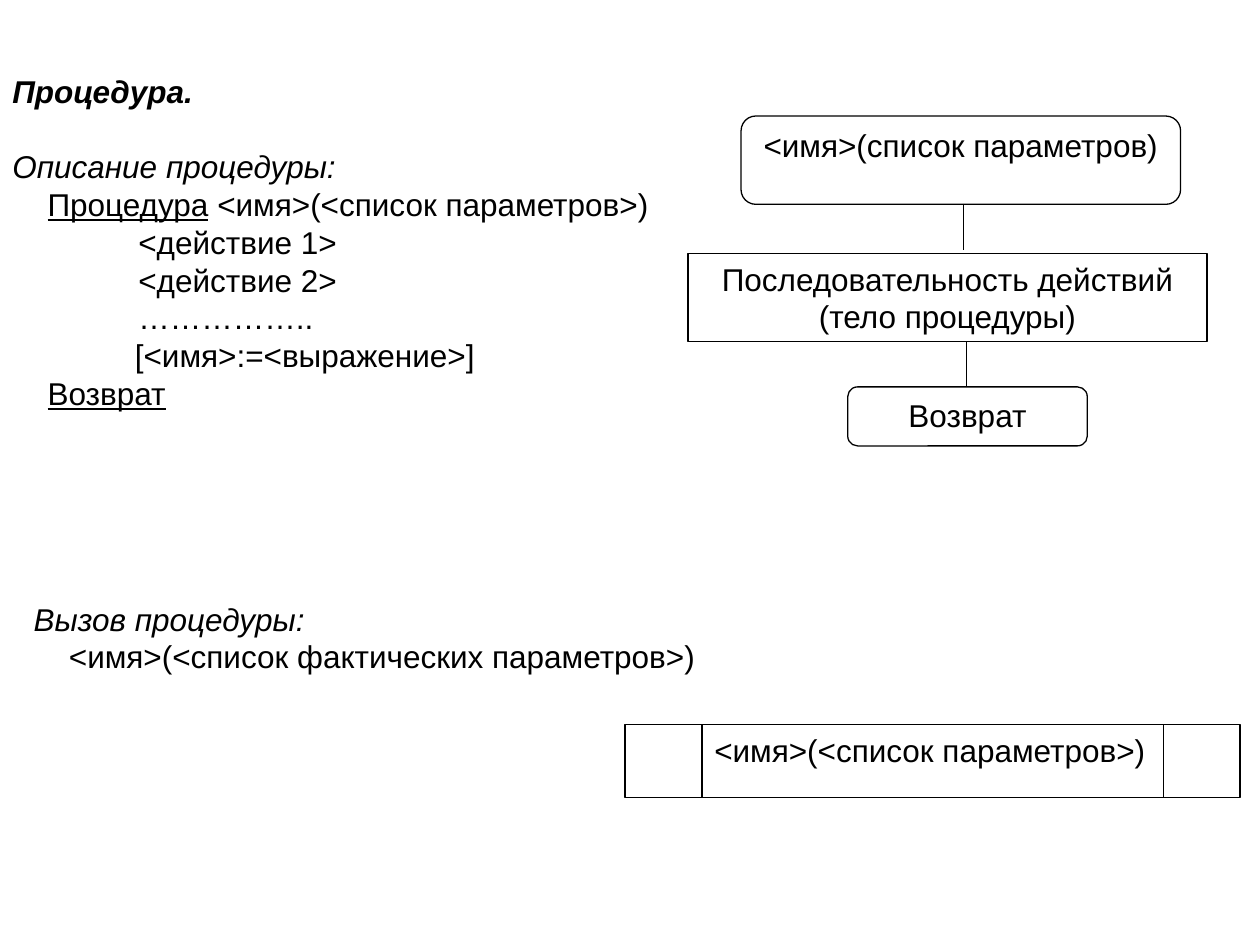
from dataclasses import dataclass

from lxml import etree
from pptx import Presentation
from pptx.dml.color import RGBColor
from pptx.enum.shapes import MSO_CONNECTOR, MSO_SHAPE
from pptx.enum.text import MSO_ANCHOR, PP_ALIGN
from pptx.oxml.ns import qn
from pptx.util import Cm, Pt

ROUNDED = MSO_SHAPE.FLOWCHART_ALTERNATE_PROCESS
PROCESS = MSO_SHAPE.FLOWCHART_PROCESS
SUBROUTINE = MSO_SHAPE.FLOWCHART_PREDEFINED_PROCESS
STRAIGHT = MSO_CONNECTOR.STRAIGHT
LEFT, CENTER = PP_ALIGN.LEFT, PP_ALIGN.CENTER
TOP, MIDDLE = MSO_ANCHOR.TOP, MSO_ANCHOR.MIDDLE


@dataclass(frozen=True)
class Theme:
    font: str = "Arial"
    size: Pt = Pt(18)
    leading: Pt = Pt(21.6)
    ink: RGBColor = RGBColor(0, 0, 0)
    paper: RGBColor = RGBColor(255, 255, 255)
    stroke: Pt = Pt(0.75)


THEME = Theme()

# Indents of the pseudocode, in cm
KEYWORD, ACTION, RESULT = 0.71, 2.54, 2.47

# Text blocks: place, then paragraphs of (spans, indent, gap above in lines);
# a span is its text and its style letters: b, i, u
TEXT_BLOCKS = [
    ((0, 1.32, 13.54, 7.11), [
        ([("Процедура.", "bi")], 0, 0),
        ([("Описание процедуры:", "i")], 0, 1),
        ([("Процедура", "u"), (" <имя>(<список параметров>)", "")], KEYWORD, 0),
        ([("<действие 1>", "")], ACTION, 0),
        ([("<действие 2>", "")], ACTION, 0),
        ([("……………..", "")], ACTION, 0),
        ([("[<имя>:=<выражение>]", "")], RESULT, 0),
        ([("Возврат", "u")], KEYWORD, 0),
    ]),
    ((0.43, 11.96, 13.84, 1.78), [
        ([("Вызов процедуры:", "i")], 0, 0),
        ([("<имя>(<список фактических параметров>)", "")], KEYWORD, 0),
    ]),
]

# Flowchart: shape, place, text, alignment
FLOW_SHAPES = [
    (ROUNDED, (14.94, 2.34, 8.86, 1.78), "<имя>(список параметров)", CENTER),
    (PROCESS, (13.87, 5.11, 10.46, 1.78),
     "Последовательность действий (тело процедуры)", CENTER),
    (ROUNDED, (17.09, 7.8, 4.83, 1.19), "Возврат", CENTER),
    (SUBROUTINE, (12.6, 14.61, 12.4, 1.47), "<имя>(<список параметров>)", LEFT),
]

# Vertical links: x, top, bottom
LINKS = [(19.43, 4.11, 5.03), (19.48, 6.88, 7.8)]


def write(frame, paragraphs, align, anchor, wrap):
    frame.word_wrap = wrap
    frame.vertical_anchor = anchor
    for number, (spans, indent, gap) in enumerate(paragraphs):
        para = frame.paragraphs[0] if number == 0 else frame.add_paragraph()
        para.alignment = align
        para.line_spacing = THEME.leading
        if gap:
            para.space_before = Pt(gap * THEME.leading.pt)
        if indent:
            properties = para._p.get_or_add_pPr()
            properties.set("marL", str(Cm(indent)))
            properties.set("indent", "0")
        para.font.name = THEME.font
        para.font.size = THEME.size
        para.font.color.rgb = THEME.ink
        for text, style in spans:
            span = para.add_run()
            span.text = text
            span.font.name = THEME.font
            span.font.size = THEME.size
            span.font.color.rgb = THEME.ink
            span.font.bold = "b" in style
            span.font.italic = "i" in style
            span.font.underline = "u" in style


def outline(line):
    line.color.rgb = THEME.ink
    line.width = THEME.stroke


def add_flow_shape(page, kind, place, text, align):
    box = page.shapes.add_shape(kind, *map(Cm, place))
    box.shadow.inherit = False
    box.fill.solid()
    box.fill.fore_color.rgb = THEME.paper
    outline(box.line)
    write(box.text_frame, [([(text, "")], 0, 0)], align, TOP, True)


def add_link(page, x, top, bottom):
    link = page.shapes.add_connector(STRAIGHT, Cm(x), Cm(top), Cm(x), Cm(bottom))
    outline(link.line)
    etree.SubElement(link._element.spPr, qn("a:effectLst"))


def main():
    deck = Presentation()
    deck.slide_width, deck.slide_height = Cm(25.4), Cm(19.05)
    page = deck.slides.add_slide(deck.slide_layouts[6])

    # Flowchart and call symbol
    for flow_shape in FLOW_SHAPES:
        add_flow_shape(page, *flow_shape)
    for link in LINKS:
        add_link(page, *link)

    # Description and call of the procedure
    for place, paragraphs in TEXT_BLOCKS:
        box = page.shapes.add_textbox(*map(Cm, place))
        write(box.text_frame, paragraphs, LEFT, MIDDLE, False)

    deck.save("out.pptx")


if __name__ == "__main__":
    main()
